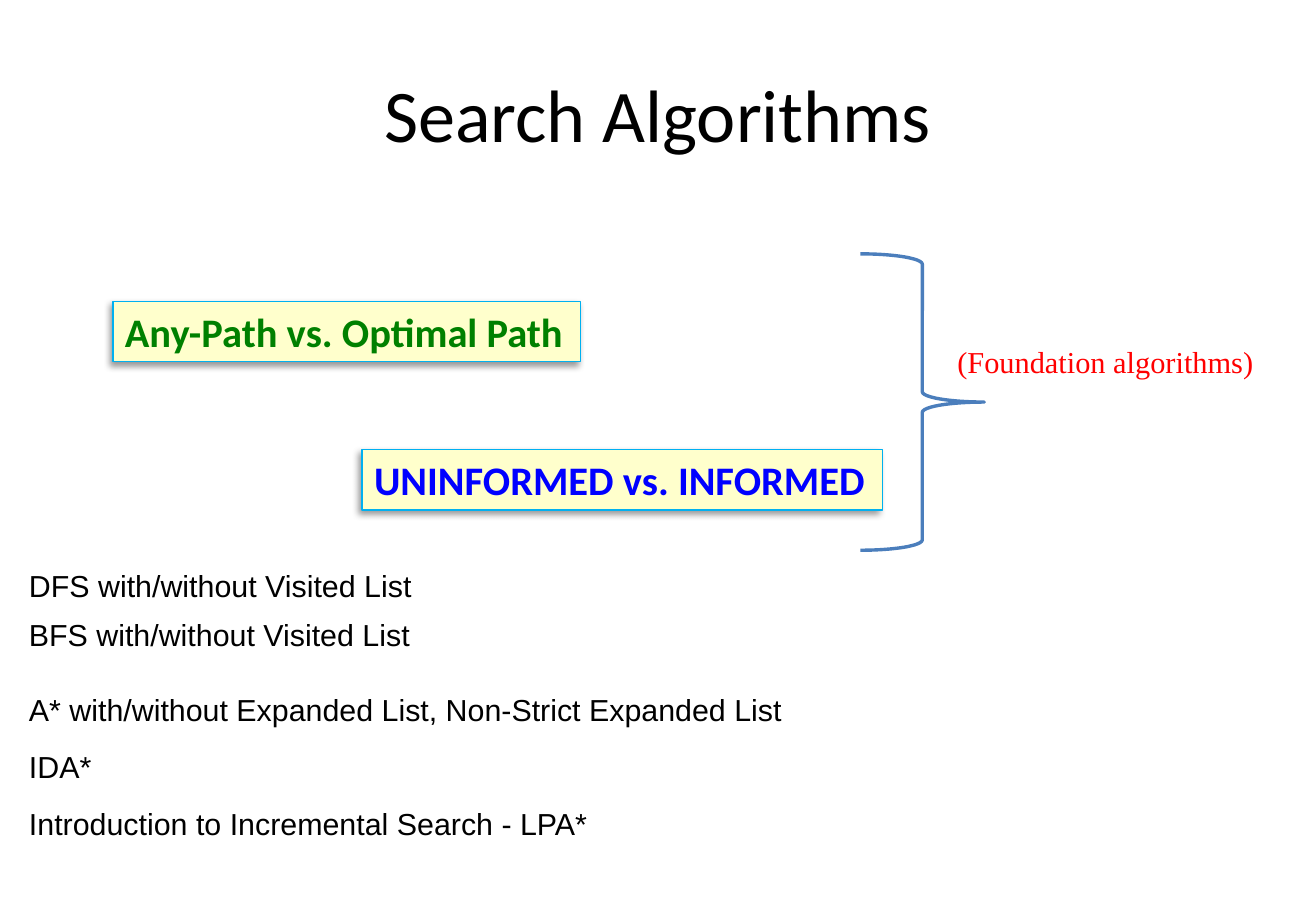
from dataclasses import dataclass

from lxml import etree
from pptx import Presentation
from pptx.dml.color import RGBColor
from pptx.enum.shapes import MSO_SHAPE
from pptx.enum.text import MSO_ANCHOR, MSO_AUTO_SIZE, PP_ALIGN
from pptx.oxml import parse_xml
from pptx.oxml.ns import nsdecls, qn
from pptx.util import Inches, Pt


@dataclass(frozen=True)
class Theme:
    black: str = "000000"
    green: str = "008000"
    blue: str = "0000FF"
    red: str = "FF0000"
    cream: str = "FFFFCC"
    card_border: str = "00B0F0"
    brace: str = "4B7EBC"
    title_size: int = 44
    card_size: int = 24
    body_size: int = 18
    heading_font: str = "Calibri"
    body_font: str = "Arial"
    note_font: str = "Times New Roman"


theme = Theme()


def write_text(shape, text, font, size, color, bold=False, fit=True):
    """Fill a shape with one line; fit makes the shape hug the line."""
    frame = shape.text_frame
    frame.word_wrap = not fit
    frame.auto_size = MSO_AUTO_SIZE.SHAPE_TO_FIT_TEXT if fit else MSO_AUTO_SIZE.NONE
    frame.vertical_anchor = MSO_ANCHOR.TOP if fit else MSO_ANCHOR.MIDDLE
    paragraph = frame.paragraphs[0]
    paragraph.alignment = PP_ALIGN.LEFT if fit else PP_ALIGN.CENTER
    run = paragraph.add_run()
    run.text = text
    for name, value in {"name": font, "size": Pt(size), "bold": bold}.items():
        setattr(run.font, name, value)
    run.font.color.rgb = RGBColor.from_string(color)


def add_drop_shadow(shape):
    effects = shape._element.spPr.find(qn("a:effectLst"))
    shadow = parse_xml(
        f'<a:outerShdw {nsdecls("a")} blurRad="{Pt(4)}" dist="{Pt(3)}" '
        f'dir="{135 * 60000}" algn="tr" rotWithShape="0"/>'
    )
    color = etree.SubElement(shadow, qn("a:srgbClr"), val=theme.black)
    etree.SubElement(color, qn("a:alpha"), val="40000")
    effects.append(shadow)


presentation = Presentation()
presentation.slide_width = Inches(10.83)
presentation.slide_height = Inches(7.5)
slide = presentation.slides.add_slide(presentation.slide_layouts[6])

title = slide.shapes.add_textbox(Inches(0.54), Inches(0.3), Inches(9.75), Inches(1.25))
write_text(title, "Search Algorithms", theme.heading_font, theme.title_size,
           theme.black, fit=False)

cards = [
    ("UNINFORMED vs. INFORMED", 2.98, 3.7, 4.28, theme.blue),
    ("Any-Path vs. Optimal Path", 0.93, 2.48, 3.85, theme.green),
]
for text, left, top, width, color in cards:
    card = slide.shapes.add_shape(
        MSO_SHAPE.RECTANGLE, Inches(left), Inches(top), Inches(width), Inches(0.5))
    card.fill.solid()
    card.fill.fore_color.rgb = RGBColor.from_string(theme.cream)
    card.line.color.rgb = RGBColor.from_string(theme.card_border)
    card.line.width = Pt(0.75)
    card.shadow.inherit = False
    add_drop_shadow(card)
    write_text(card, text, theme.heading_font, theme.card_size, color, bold=True)

brace = slide.shapes.add_shape(
    MSO_SHAPE.RIGHT_BRACE, Inches(7.08), Inches(2.09), Inches(1.02), Inches(2.44))
brace.fill.background()
brace.line.color.rgb = RGBColor.from_string(theme.brace)
brace.line.width = Pt(2)
brace.shadow.inherit = False

lines = [
    ("(Foundation algorithms)", 7.78, 2.78, 2.66, theme.note_font, theme.red),
    ("DFS with/without Visited List", 0.14, 4.62, 3.38, theme.body_font, theme.black),
    ("BFS with/without Visited List", 0.14, 5.02, 3.37, theme.body_font, theme.black),
    ("A* with/without Expanded List, Non-Strict Expanded List",
     0.14, 5.64, 6.46, theme.body_font, theme.black),
    ("IDA*", 0.14, 6.11, 0.79, theme.body_font, theme.black),
    ("Introduction to Incremental Search - LPA*",
     0.14, 6.58, 4.91, theme.body_font, theme.black),
]
for text, left, top, width, font, color in lines:
    box = slide.shapes.add_textbox(Inches(left), Inches(top), Inches(width), Inches(0.4))
    write_text(box, text, font, theme.body_size, color)

presentation.save("out.pptx")
